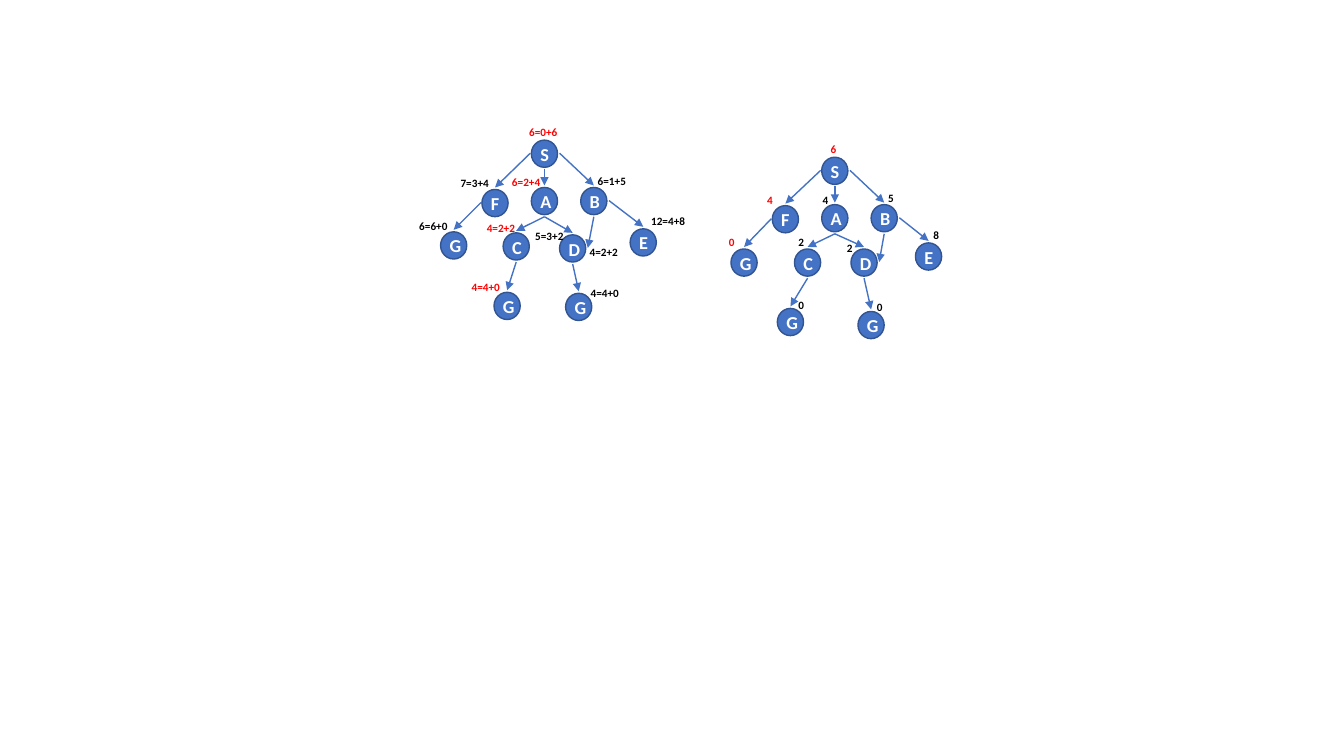
from dataclasses import dataclass
from typing import NamedTuple

from lxml import etree
from pptx import Presentation
from pptx.dml import color
from pptx.enum import shapes, text
from pptx.oxml import ns
from pptx.util import Inches, Pt


@dataclass(frozen=True)
class Theme:
    font: str = "Calibri"
    node_size: int = 13
    label_size: int = 8
    line_width: int = 1
    blue: str = "4472C4"
    outline: str = "325491"
    white: str = "FFFFFF"
    black: str = "000000"
    red: str = "FF0000"


THEME = Theme()
NODE_WIDTH, NODE_HEIGHT = 0.26, 0.27
LETTER_WIDTH, LETTER_HEIGHT, LABEL_HEIGHT = 0.29, 0.32, 0.24


class Node(NamedTuple):
    left: float
    top: float


class Edge(NamedTuple):
    parent: str
    start: str
    child: str
    end: str = "top"


class Label(NamedTuple):
    words: str
    left: float
    top: float
    width: float = 0.5
    on_path: bool = False


class Tree(NamedTuple):
    nodes: dict[str, Node]
    labels: list[Label]


# Offsets from a node's corner where an arrow may attach
PORTS = {
    "top": (0.13, -0.02),
    "left": (-0.01, 0.13),
    "right": (0.28, 0.13),
    "bottom": (0.13, 0.29),
}

# Both trees share one structure; a node's first character is its letter
EDGES = [
    Edge("S", "left", "F"),
    Edge("S", "right", "B"),
    Edge("S", "bottom", "A"),
    Edge("F", "left", "G via F"),
    Edge("A", "bottom", "C"),
    Edge("A", "bottom", "D"),
    Edge("B", "right", "E"),
    Edge("B", "bottom", "D", "right"),
    Edge("C", "bottom", "G via C"),
    Edge("D", "bottom", "G via D"),
]

TOTAL_COST_TREE = Tree(
    nodes={
        "S": Node(5.27, 1.39),
        "F": Node(4.78, 1.88),
        "A": Node(5.27, 1.86),
        "B": Node(5.76, 1.86),
        "G via F": Node(4.37, 2.3),
        "C": Node(4.99, 2.31),
        "D": Node(5.55, 2.33),
        "E": Node(6.25, 2.27),
        "G via C": Node(4.9, 2.9),
        "G via D": Node(5.61, 2.91),
    },
    labels=[
        Label("6=0+6", 5.15, 1.19, 0.55, on_path=True),
        Label("7=3+4", 4.47, 1.7),
        Label("6=2+4", 4.98, 1.69, on_path=True),
        Label("6=1+5", 5.83, 1.68),
        Label("6=6+0", 4.06, 2.13),
        Label("4=2+2", 4.73, 2.15, on_path=True),
        Label("5=3+2", 5.21, 2.23, 0.49),
        Label("12=4+8", 6.36, 2.08, 0.54),
        Label("4=2+2", 5.75, 2.38, 0.54),
        Label("4=4+0", 5.76, 2.79, 0.54),
        Label("4=4+0", 4.58, 2.73, 0.54, on_path=True),
    ],
)

HEURISTIC_TREE = Tree(
    nodes={
        "S": Node(8.15, 1.56),
        "F": Node(7.66, 2.04),
        "A": Node(8.15, 2.03),
        "B": Node(8.64, 2.03),
        "G via F": Node(7.25, 2.47),
        "C": Node(7.88, 2.47),
        "D": Node(8.44, 2.47),
        "E": Node(9.08, 2.41),
        "G via C": Node(7.71, 3.06),
        "G via D": Node(8.51, 3.09),
    },
    labels=[
        Label("6", 8.14, 1.36, 0.55, on_path=True),
        Label("4", 7.51, 1.87, on_path=True),
        Label("4", 8.06, 1.87),
        Label("5", 8.71, 1.85),
        Label("0", 7.13, 2.29, 0.28, on_path=True),
        Label("2", 7.82, 2.29, 0.27),
        Label("2", 8.3, 2.35, 0.25),
        Label("8", 9.16, 2.22, 0.54),
        Label("0", 8.6, 2.93, 0.54),
        Label("0", 7.82, 2.91, 0.54),
    ],
)


def rgb(value: str) -> color.RGBColor:
    return color.RGBColor.from_string(value)


def add_text(container, words: str, left: float, top: float, width: float,
             height: float, size: int, ink: str) -> None:
    box = container.add_textbox(Inches(left), Inches(top), Inches(width), Inches(height))
    frame = box.text_frame
    frame.word_wrap = True
    frame.margin_right = 0
    frame.auto_size = text.MSO_AUTO_SIZE.SHAPE_TO_FIT_TEXT
    run = frame.paragraphs[0].add_run()
    run.text = words
    run.font.name = THEME.font
    run.font.size = Pt(size)
    run.font.bold = True
    run.font.color.rgb = rgb(ink)


def add_node(slide, letter: str, node: Node) -> None:
    group = slide.shapes.add_group_shape()
    circle = group.shapes.add_shape(
        shapes.MSO_SHAPE.OVAL, Inches(node.left), Inches(node.top),
        Inches(NODE_WIDTH), Inches(NODE_HEIGHT))
    circle.shadow.inherit = False
    circle.fill.solid()
    circle.fill.fore_color.rgb = rgb(THEME.blue)
    circle.line.color.rgb = rgb(THEME.outline)
    circle.line.width = Pt(THEME.line_width)
    add_text(group.shapes, letter, node.left - 0.01, node.top - 0.02,
             LETTER_WIDTH, LETTER_HEIGHT, THEME.node_size, THEME.white)


def port(node: Node, side: str) -> tuple[Inches, Inches]:
    across, down = PORTS[side]
    return Inches(node.left + across), Inches(node.top + down)


def add_edge(slide, nodes: dict[str, Node], edge: Edge) -> None:
    arrow = slide.shapes.add_connector(
        shapes.MSO_CONNECTOR.STRAIGHT,
        *port(nodes[edge.parent], edge.start), *port(nodes[edge.child], edge.end))
    arrow.line.color.rgb = rgb(THEME.blue)
    arrow.line.width = Pt(THEME.line_width)
    etree.SubElement(arrow.line._get_or_add_ln(), ns.qn("a:tailEnd"), type="triangle")
    etree.SubElement(arrow._element.spPr, ns.qn("a:effectLst"))


def add_tree(slide, tree: Tree) -> None:
    for name, node in tree.nodes.items():
        add_node(slide, name[0], node)
    for edge in EDGES:
        add_edge(slide, tree.nodes, edge)
    for label in tree.labels:
        add_text(slide.shapes, label.words, label.left, label.top, label.width,
                 LABEL_HEIGHT, THEME.label_size, THEME.red if label.on_path else THEME.black)


# Build the slide
presentation = Presentation()
presentation.slide_width, presentation.slide_height = Inches(13.33), Inches(7.5)
slide = presentation.slides.add_slide(presentation.slide_layouts[6])
for tree in (TOTAL_COST_TREE, HEURISTIC_TREE):
    add_tree(slide, tree)
presentation.save("out.pptx")
